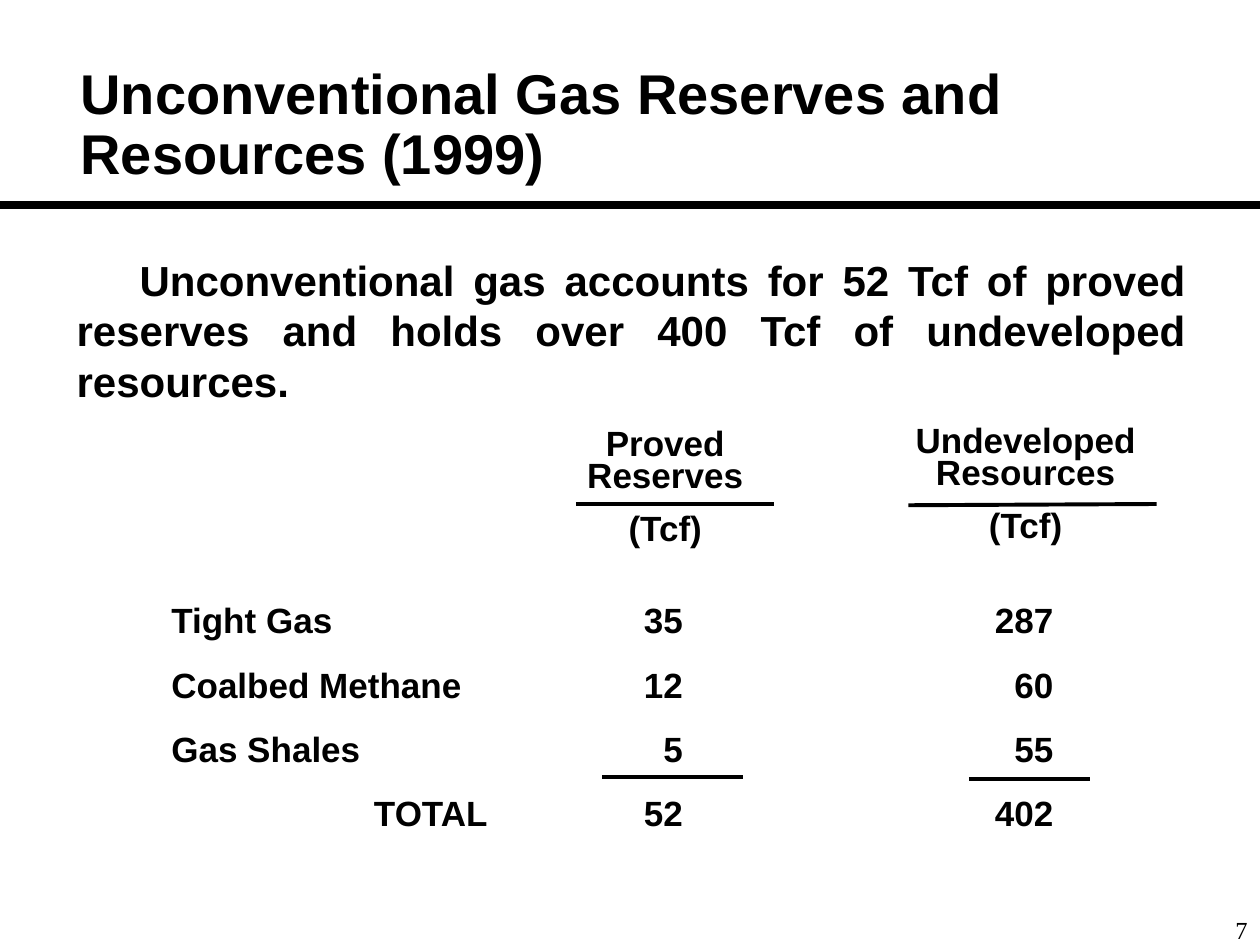
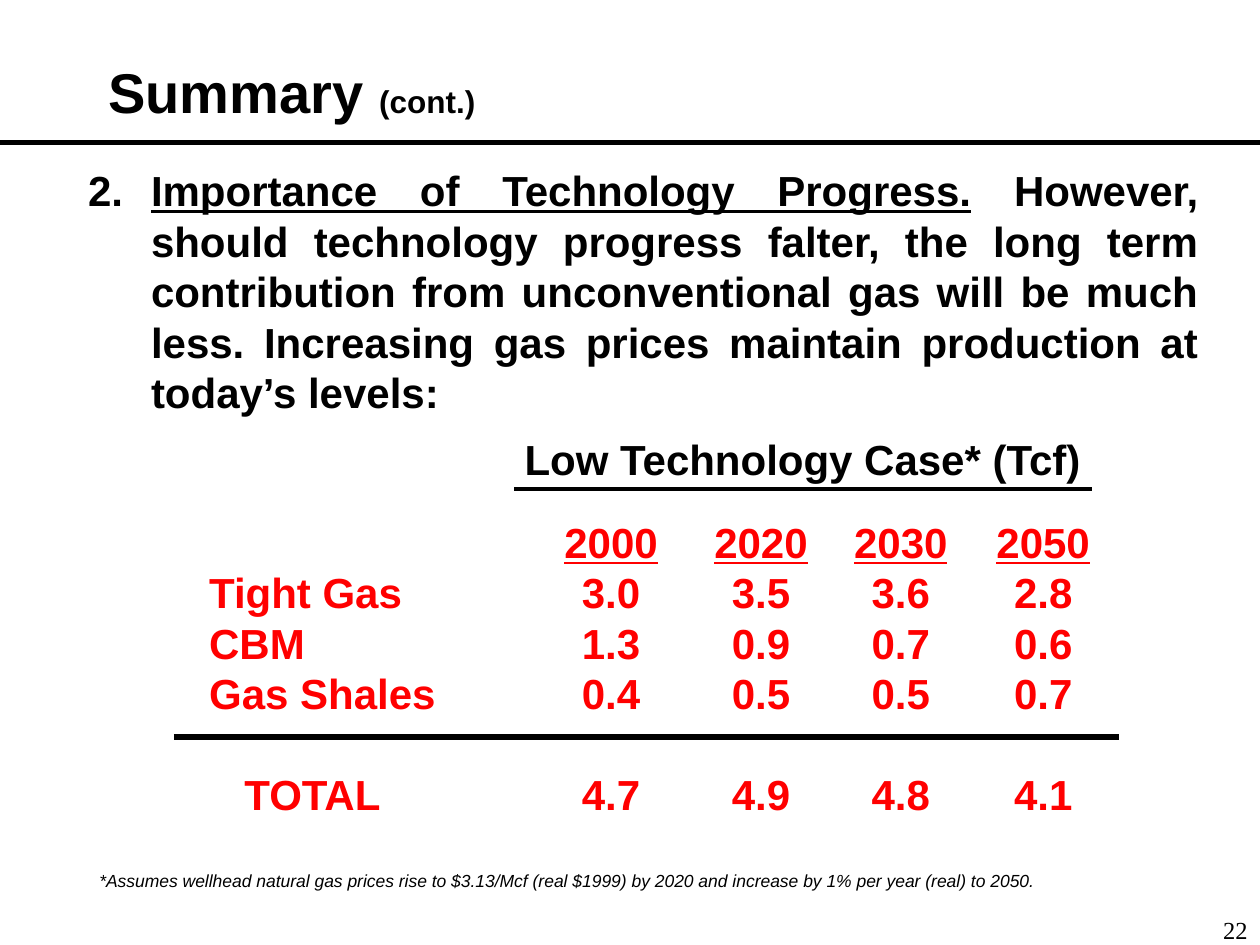
from pptx import Presentation
from pptx.dml.color import RGBColor
from pptx.enum import shapes, text
from pptx.oxml.ns import qn
from pptx.util import Inches, Pt
from lxml import etree

BLACK = RGBColor(0x00, 0x00, 0x00)
RED = RGBColor(0xFF, 0x00, 0x00)
LEFT, CENTER, RIGHT, JUSTIFY = (
    text.PP_ALIGN.LEFT, text.PP_ALIGN.CENTER, text.PP_ALIGN.RIGHT, text.PP_ALIGN.JUSTIFY)
LINE_HEIGHT = 1.2  # line pitch as a multiple of the type size

RESERVES = {
    "title": "Unconventional Gas Reserves and Resources (1999)",
    "statement": "Unconventional gas accounts for 52 Tcf of proved reserves "
                 "and holds over 400 Tcf of undeveloped resources.",
    "headings": [
        (["Proved Reserves", "(Tcf)"], (4.15, 3.38, 2.26, 1.03)),
        (["Undeveloped Resources", "(Tcf)"], (6.83, 3.36, 2.62, 1.03)),
    ],
    "rows": [
        ("Tight Gas", "35", "287"),
        ("Coalbed Methane", "12", "60"),
        ("Gas Shales", "5", "55"),
        ("TOTAL", "52", "402"),
    ],
    "rules": [
        (4.57, 4, 6.14, 4), (7.21, 4.01, 9.18, 4),
        (4.78, 6.17, 5.9, 6.17), (7.69, 6.18, 8.65, 6.18),
    ],
    "page": "7",
}

SUMMARY = {
    "title": ["Summary ", "(cont.)"],
    "point": [
        "Importance of Technology Progress.",
        " However, should technology progress falter, the long term contribution "
        "from unconventional gas will be much less. Increasing gas prices maintain "
        "production at today’s levels:",
    ],
    "case": "Low Technology Case* (Tcf)",
    "rows": [
        ("", "2000", "2020", "2030", "2050"),
        ("Tight Gas", "3.0", "3.5", "3.6", "2.8"),
        ("CBM", "1.3", "0.9", "0.7", "0.6"),
        ("Gas Shales", "0.4", "0.5", "0.5", "0.7"),
        ("TOTAL", "4.7", "4.9", "4.8", "4.1"),
    ],
    "footnote": "*Assumes wellhead natural gas prices rise to $3.13/Mcf (real $1999) "
                "by 2020 and increase by 1% per year (real) to 2050.",
    "page": "22",
}


def format_paragraph(paragraph, size, align=LEFT, color=BLACK, bold=True,
                     italic=False, font="Arial", spacing=1.0):
    paragraph.alignment = align
    paragraph.line_spacing = Pt(round(size * LINE_HEIGHT * spacing, 1))
    for run in paragraph.runs:
        run.font.size = Pt(size)
        run.font.name = font
        run.font.bold = bold
        run.font.italic = italic
        run.font.color.rgb = color


def add_text(slide, box, paragraphs, size, before=0, anchor=text.MSO_ANCHOR.TOP, **style):
    """Add a text box; each paragraph is a string or a list of run strings."""
    frame = slide.shapes.add_textbox(*map(Inches, box)).text_frame
    frame.word_wrap = True
    frame.vertical_anchor = anchor
    for i, runs in enumerate(paragraphs):
        paragraph = frame.add_paragraph() if i else frame.paragraphs[0]
        for part in [runs] if isinstance(runs, str) else runs:
            paragraph.add_run().text = part
        format_paragraph(paragraph, size, **style)
        if i:
            paragraph.space_before = Pt(before)
    return frame.paragraphs


def add_rule(slide, ends, width=2.25):
    rule = slide.shapes.add_connector(shapes.MSO_CONNECTOR.STRAIGHT, *map(Inches, ends))
    rule.line.color.rgb = BLACK
    rule.line.width = Pt(width)
    properties = rule._element.find(qn("p:spPr"))
    etree.SubElement(properties, qn("a:effectLst"))


def set_indent(paragraph, margin, first_line):
    properties = paragraph._p.get_or_add_pPr()
    properties.set("marL", str(Inches(margin)))
    properties.set("indent", str(Inches(first_line)))
    return properties


def add_figures(slide, left, top, rows, widths, heights, size, align, color=BLACK):
    """Add a plain table with labels at left and its figures aligned as given."""
    frame = slide.shapes.add_table(
        len(rows), len(widths), Inches(left), Inches(top),
        Inches(sum(widths)), Inches(sum(heights)))
    table = frame.table
    table.first_row = table.horz_banding = False
    for column, width in zip(table.columns, widths):
        column.width = Inches(width)
    for r, (row, height) in enumerate(zip(rows, heights)):
        table.rows[r].height = Inches(height)
        for c, value in enumerate(row):
            cell = table.cell(r, c)
            cell.fill.background()
            cell.margin_top = cell.margin_bottom = 0
            cell.vertical_anchor = text.MSO_ANCHOR.BOTTOM
            cell.text_frame.text = value
            format_paragraph(cell.text_frame.paragraphs[0], size,
                             align=align if c else LEFT, color=color)
    return table


def start_slide(deck, title, title_box, rule_y, rule_width, page, spacing=1.0):
    """Add a blank slide with the shared title, full-width rule and page number."""
    slide = deck.slides.add_slide(deck.slide_layouts[6])
    heading = add_text(slide, title_box, [title], 32,
                       anchor=text.MSO_ANCHOR.MIDDLE, spacing=spacing)[0]
    add_rule(slide, (0, rule_y, 10, rule_y), rule_width)
    add_text(slide, (9.39, 7.21, 0.61, 0.29), [page], 14,
             align=RIGHT, bold=False, font="Times New Roman")
    return slide, heading


def build_reserves(deck):
    slide, _ = start_slide(deck, RESERVES["title"], (0.54, 0.37, 9.01, 1.25),
                           1.63, 4.5, RESERVES["page"], spacing=0.9)
    statement = add_text(slide, (0.51, 1.97, 9, 1.3), [RESERVES["statement"]], 24,
                         align=JUSTIFY)[0]
    set_indent(statement, 0, 0.5)
    for lines, box in RESERVES["headings"]:
        add_text(slide, box, lines, 20, before=12.5, align=CENTER, spacing=0.75)
    rows = RESERVES["rows"]
    table = add_figures(slide, 1.26, 4.58, rows, [2.71, 1.55, 2.94],
                        [0.51] * len(rows), 20, RIGHT)
    table.cell(len(rows) - 1, 0).text_frame.paragraphs[0].alignment = RIGHT
    for ends in RESERVES["rules"]:
        add_rule(slide, ends)


def build_summary(deck):
    slide, heading = start_slide(deck, SUMMARY["title"], (0.76, 0.26, 8.5, 0.93),
                                 1.13, 3, SUMMARY["page"])
    heading.runs[1].font.size = Pt(18)

    point = add_text(slide, (0.6, 1.26, 9.01, 2.1), [SUMMARY["point"]], 24,
                     align=JUSTIFY)[0]
    point.runs[0].font.underline = True
    properties = set_indent(point, 0.5, -0.5)
    etree.SubElement(properties, qn("a:buFont"), typeface="Arial")
    etree.SubElement(properties, qn("a:buAutoNum"), type="arabicPeriod", startAt="2")

    add_text(slide, (3.94, 3.39, 4.86, 0.5), [SUMMARY["case"]], 24, align=CENTER)
    rows = SUMMARY["rows"]
    table = add_figures(slide, 1.56, 4.1, rows, [2.69, 1.2, 1.18, 1.04, 1.22],
                        [0.4] * (len(rows) - 1) + [0.8], 24, CENTER, RED)
    for c in range(1, len(rows[0])):
        table.cell(0, c).text_frame.paragraphs[0].runs[0].font.underline = True
    table.cell(len(rows) - 1, 0).margin_left = Inches(0.38)
    add_rule(slide, (4.08, 3.88, 8.67, 3.88))
    add_rule(slide, (1.38, 5.85, 8.88, 5.85), 3)
    add_text(slide, (0.69, 6.86, 8, 0.27), [SUMMARY["footnote"]], 10,
             bold=False, italic=True)


def main():
    deck = Presentation()
    deck.slide_width, deck.slide_height = Inches(10), Inches(7.5)
    build_reserves(deck)
    build_summary(deck)
    deck.save("out.pptx")


if __name__ == "__main__":
    main()
